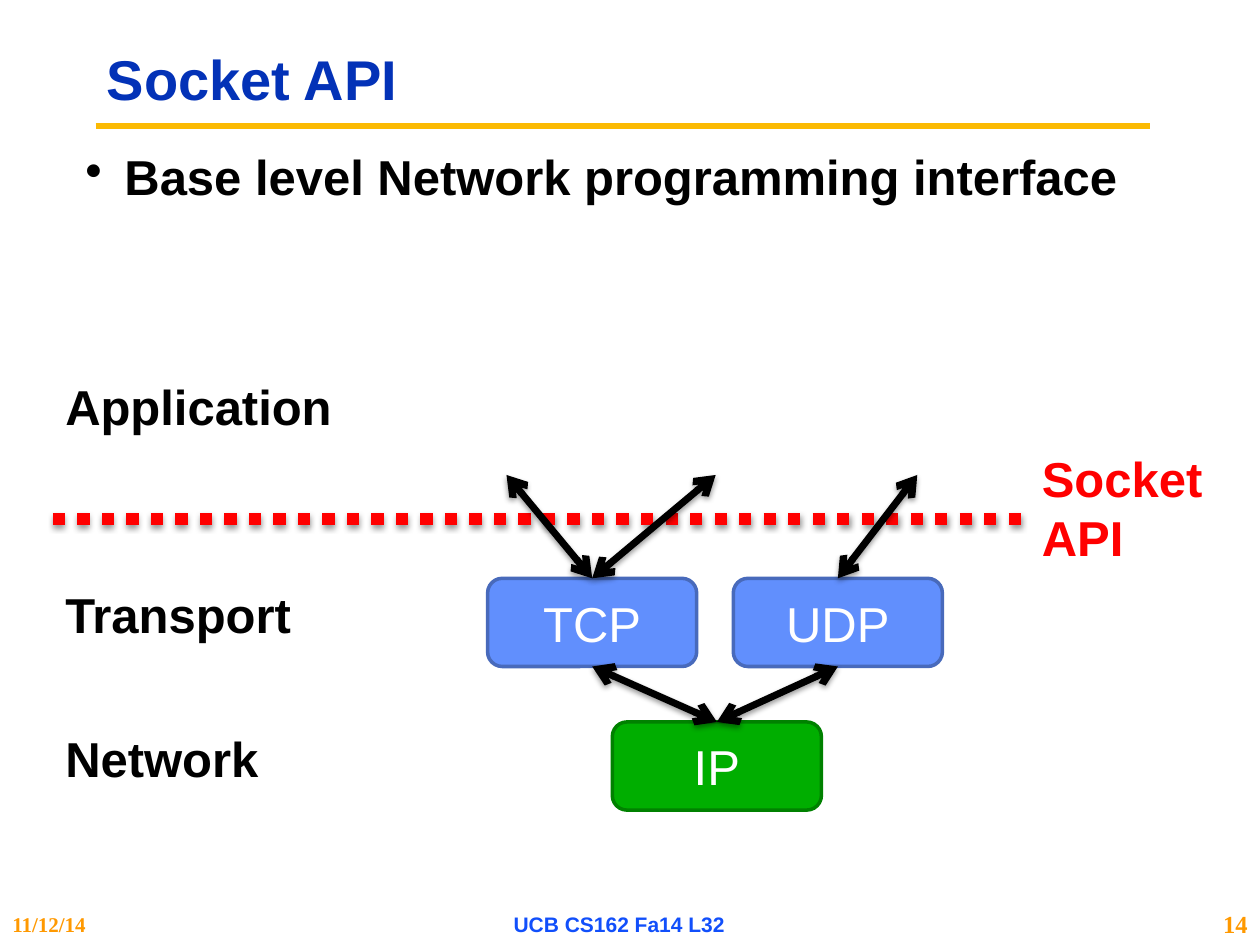
from lxml.etree import SubElement
from pptx import Presentation
from pptx.dml.color import RGBColor
from pptx.enum.dml import MSO_LINE
from pptx.enum.shapes import MSO_CONNECTOR, MSO_SHAPE
from pptx.enum.text import MSO_ANCHOR as Anchor, PP_ALIGN as Align
from pptx.oxml.ns import qn
from pptx.util import Inches, Pt

SANS, SERIF = "Arial", "Times New Roman"
BLACK, RED, ORANGE = "000000", "FF0000", "FF9900"

TITLE = ("Socket API", 0.75, 0.25, 8.42, 0.81)
BULLET = ("Base level Network programming interface", 0.58, 1.17, 8.67, 1.67)
API_LABEL = ("Socket\nAPI", 8.17, 3.51, 1.75, 1.04)
LAYERS = [("Application", 2.94), ("Transport", 4.59), ("Network", 5.73)]

BOX_WIDTH, BOX_HEIGHT = 1.66, 0.7
PROTOCOLS = {
    "TCP": (3.87, 4.59, "618FFD", "486ABB"),
    "UDP": (5.82, 4.59, "618FFD", "486ABB"),
    "IP": (4.86, 5.73, "00AE00", "008100"),
}
APPLICATION_Y = 3.77
APPLICATION_LINKS = [(4.02, "TCP"), (5.68, "TCP"), (7.28, "UDP")]
NETWORK_LINKS = [("TCP", "IP"), ("UDP", "IP")]

FOOTERS = [
    ("11/12/14", 0, 1.67, 12, SERIF, ORANGE, Align.LEFT),
    ("UCB CS162 Fa14 L32", 3.33, 3.17, 12, SANS, "114FFB", Align.CENTER),
    ("14", 9.42, 0.58, 14, SERIF, ORANGE, Align.RIGHT),
]


def color(value):
    return RGBColor.from_string(value)


def write(shape, text, size=28, font=SANS, fill=BLACK, bold=True,
          align=Align.LEFT, anchor=Anchor.TOP):
    frame = shape.text_frame
    frame.word_wrap = True
    frame.vertical_anchor = anchor
    frame.text = text
    for paragraph in frame.paragraphs:
        paragraph.alignment = align
        paragraph.font.size = Pt(size)
        paragraph.font.name = font
        paragraph.font.bold = bold
        paragraph.font.color.rgb = color(fill)
    return frame.paragraphs[0]


def add_text(slide, text, left, top, width, height, **style):
    shape = slide.shapes.add_textbox(*map(Inches, (left, top, width, height)))
    return write(shape, text, **style)


def add_line(slide, start, end, fill, width, arrows=False, shadow=True):
    line = slide.shapes.add_connector(
        MSO_CONNECTOR.STRAIGHT, *map(Inches, (*start, *end)))
    line.line.color.rgb = color(fill)
    line.line.width = Pt(width)
    properties = line._element.spPr
    if arrows:
        for end_tag in ("a:headEnd", "a:tailEnd"):
            SubElement(properties.find(qn("a:ln")), qn(end_tag), type="arrow")
    effects = SubElement(properties, qn("a:effectLst"))
    if shadow:
        outer = SubElement(effects, qn("a:outerShdw"), blurRad="40000",
                           dist="20000", dir="5400000", rotWithShape="0")
        shade = SubElement(outer, qn("a:srgbClr"), val=BLACK)
        SubElement(shade, qn("a:alpha"), val="38000")
    return line


def add_protocol(slide, name, left, top, fill, outline):
    shape = slide.shapes.add_shape(
        MSO_SHAPE.ROUNDED_RECTANGLE,
        *map(Inches, (left, top, BOX_WIDTH, BOX_HEIGHT)))
    shape.shadow.inherit = False
    shape.fill.solid()
    shape.fill.fore_color.rgb = color(fill)
    shape.line.color.rgb = color(outline)
    shape.line.width = Pt(2)
    write(shape, name, fill="FFFFFF", bold=False, align=Align.CENTER,
          anchor=Anchor.MIDDLE)


def top_of(name):
    left, top = PROTOCOLS[name][:2]
    return left + BOX_WIDTH / 2, top


def bottom_of(name):
    x, top = top_of(name)
    return x, top + BOX_HEIGHT


def main():
    presentation = Presentation()
    presentation.slide_width, presentation.slide_height = Inches(10), Inches(7.5)
    slide = presentation.slides.add_slide(presentation.slide_layouts[6])

    add_line(slide, (0.76, 1), (9.13, 1), "FBBA03", 3.75, shadow=False)
    title = add_text(slide, *TITLE, size=32, fill="0332B7", anchor=Anchor.MIDDLE)
    title.line_spacing = 0.9
    bullet = add_text(slide, *BULLET)
    bullet.line_spacing = 0.9
    properties = bullet._p.get_or_add_pPr()
    properties.set("marL", str(Inches(0.31)))
    properties.set("indent", str(Inches(-0.31)))
    mark = properties.makeelement(qn("a:buChar"), {"char": "•"})
    properties.find(qn("a:defRPr")).addprevious(mark)

    boundary = add_line(slide, (0.42, 4.12), (8.17, 4.12), RED, 7)
    boundary.line.dash_style = MSO_LINE.ROUND_DOT
    add_text(slide, *API_LABEL, fill=RED)

    for name, place in PROTOCOLS.items():
        add_protocol(slide, name, *place)
    for name, top in LAYERS:
        add_text(slide, name, 0.42, top, 2.5, 0.57)

    links = [((x, APPLICATION_Y), top_of(name)) for x, name in APPLICATION_LINKS]
    links += [(bottom_of(upper), top_of(lower)) for upper, lower in NETWORK_LINKS]
    for start, end in links:
        add_line(slide, start, end, BLACK, 4, arrows=True)

    for text, left, width, size, font, fill, align in FOOTERS:
        add_text(slide, text, left, 7.17, width, 0.33, size=size, font=font,
                 fill=fill, align=align, anchor=Anchor.MIDDLE)

    presentation.save("out.pptx")


if __name__ == "__main__":
    main()
